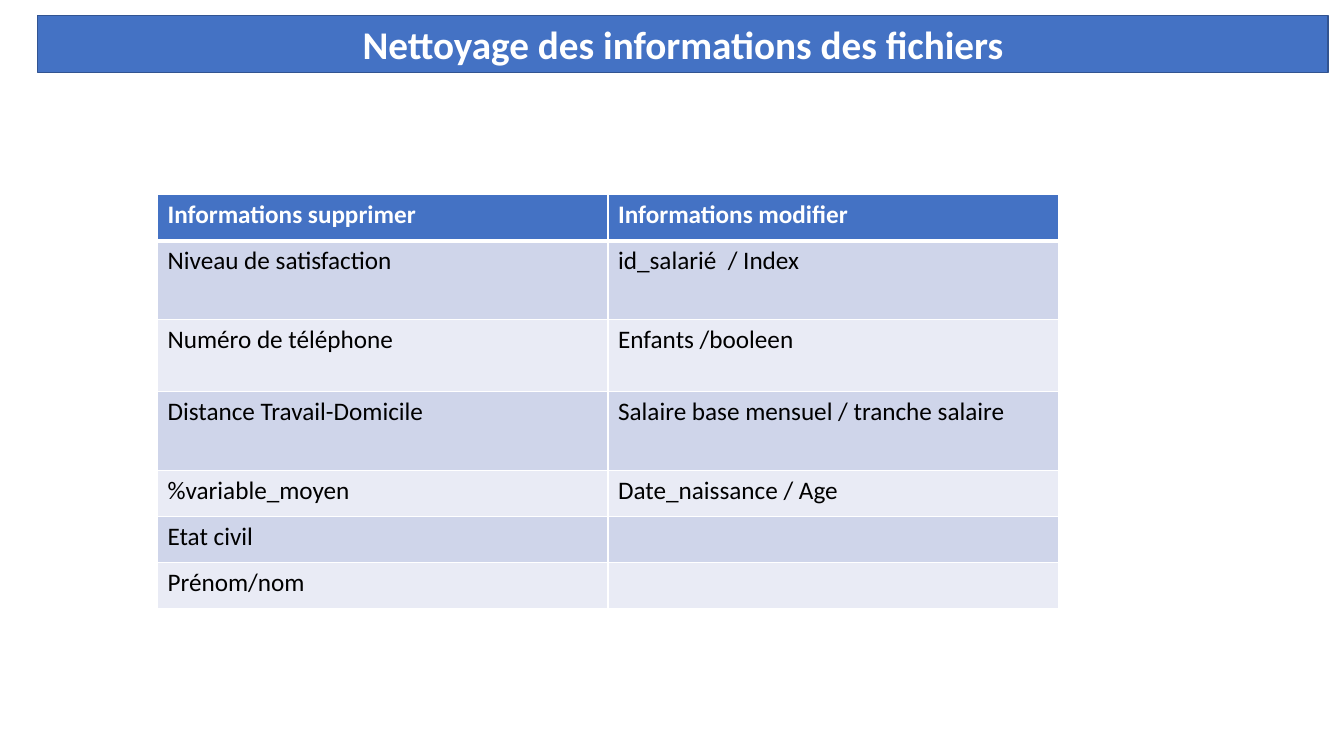
import pptx
import pptx.dml.color
import pptx.enum.shapes
import pptx.enum.text
import pptx.oxml
import pptx.oxml.ns
import pptx.util

Pt = pptx.util.Pt
FONT = "Calibri"
COLORS = {
    "blue": "4472C4",
    "outline": "325491",
    "band_dark": "CFD5EA",
    "band_light": "E9EBF5",
    "white": "FFFFFF",
    "black": "000000",
}
ROWS = [
    (32.9, "Informations supprimer", "Informations modifier"),
    (56.5, "Niveau de satisfaction", "id_salarié  / Index"),
    (51.4, "Numéro de téléphone", "Enfants /booleen"),
    (56.5, "Distance Travail-Domicile", "Salaire base mensuel / tranche salaire"),
    (32.9, "%variable_moyen", "Date_naissance / Age"),
    (32.9, "Etat civil", ""),
    (32.9, "Prénom/nom", ""),
]


def color(name):
    return pptx.dml.color.RGBColor.from_string(COLORS[name])


def format_text(paragraph, size, color_name, bold):
    for font in [paragraph.font] + [run.font for run in paragraph.runs]:
        font.name = FONT
        font.size = Pt(size)
        font.bold = bold
        font.color.rgb = color(color_name)


def add_title_bar(slide, left, top, width, height):
    shape = slide.shapes.add_shape(
        pptx.enum.shapes.MSO_SHAPE.RECTANGLE,
        Pt(left), Pt(top), Pt(width), Pt(height))
    shape.shadow.inherit = False
    shape.fill.solid()
    shape.fill.fore_color.rgb = color("blue")
    shape.line.color.rgb = color("outline")
    shape.line.width = Pt(1)
    text_frame = shape.text_frame
    text_frame.word_wrap = True
    text_frame.vertical_anchor = pptx.enum.text.MSO_ANCHOR.MIDDLE
    text_frame.text = "Nettoyage des informations des fichiers"
    paragraph = text_frame.paragraphs[0]
    paragraph.alignment = pptx.enum.text.PP_ALIGN.CENTER
    format_text(paragraph, 28, "white", True)


def set_borders(cell, widths):
    properties = cell._tc.get_or_add_tcPr()
    for side, width in widths.items():
        properties.append(pptx.oxml.parse_xml(
            f'<a:ln{side} {pptx.oxml.ns.nsdecls("a")} w="{Pt(width)}">'
            f'<a:solidFill><a:srgbClr val="{COLORS["white"]}"/></a:solidFill>'
            f'</a:ln{side}>'))


def add_cleaning_table(slide, left, top, width):
    height = sum(row[0] for row in ROWS)
    table = slide.shapes.add_table(
        len(ROWS), 2, Pt(left), Pt(top), Pt(width), Pt(height)).table
    for column in table.columns:
        column.width = Pt(width / 2)
    for row_index, (row_height, *texts) in enumerate(ROWS):
        table.rows[row_index].height = Pt(row_height)
        header = row_index == 0
        band = "band_dark" if row_index % 2 else "band_light"
        borders = {
            "L": 1,
            "R": 1,
            "T": 3 if row_index == 1 else 1,
            "B": 3 if header else 1,
        }
        for column_index, text in enumerate(texts):
            cell = table.cell(row_index, column_index)
            set_borders(cell, borders)
            cell.fill.solid()
            cell.fill.fore_color.rgb = color("blue" if header else band)
            cell.text_frame.text = text
            format_text(cell.text_frame.paragraphs[0], 18,
                        "white" if header else "black", header)


def main():
    presentation = pptx.Presentation()
    presentation.slide_width = Pt(960)
    presentation.slide_height = Pt(540)
    slide = presentation.slides.add_slide(presentation.slide_layouts[6])
    add_title_bar(slide, 27, 11.2, 921.6, 40.6)
    add_cleaning_table(slide, 112.5, 139, 643.6)
    presentation.save("out.pptx")


if __name__ == "__main__":
    main()
